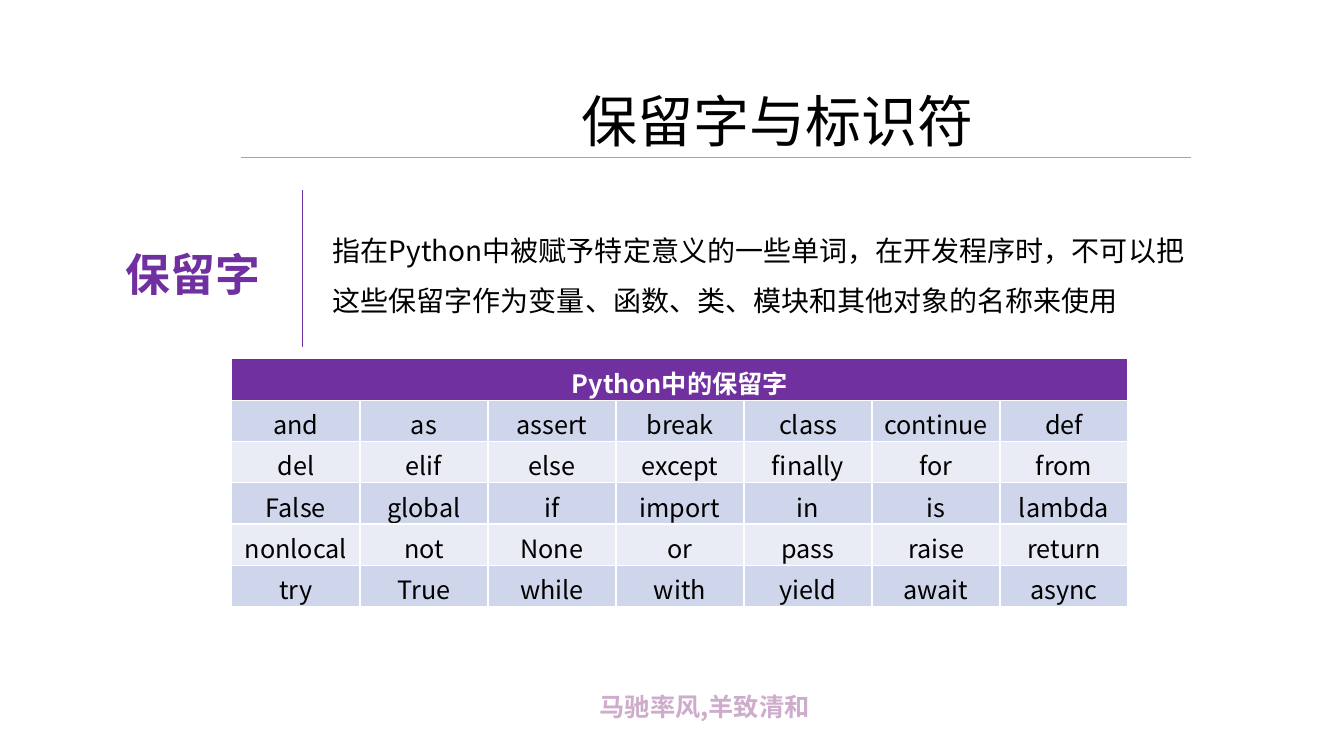
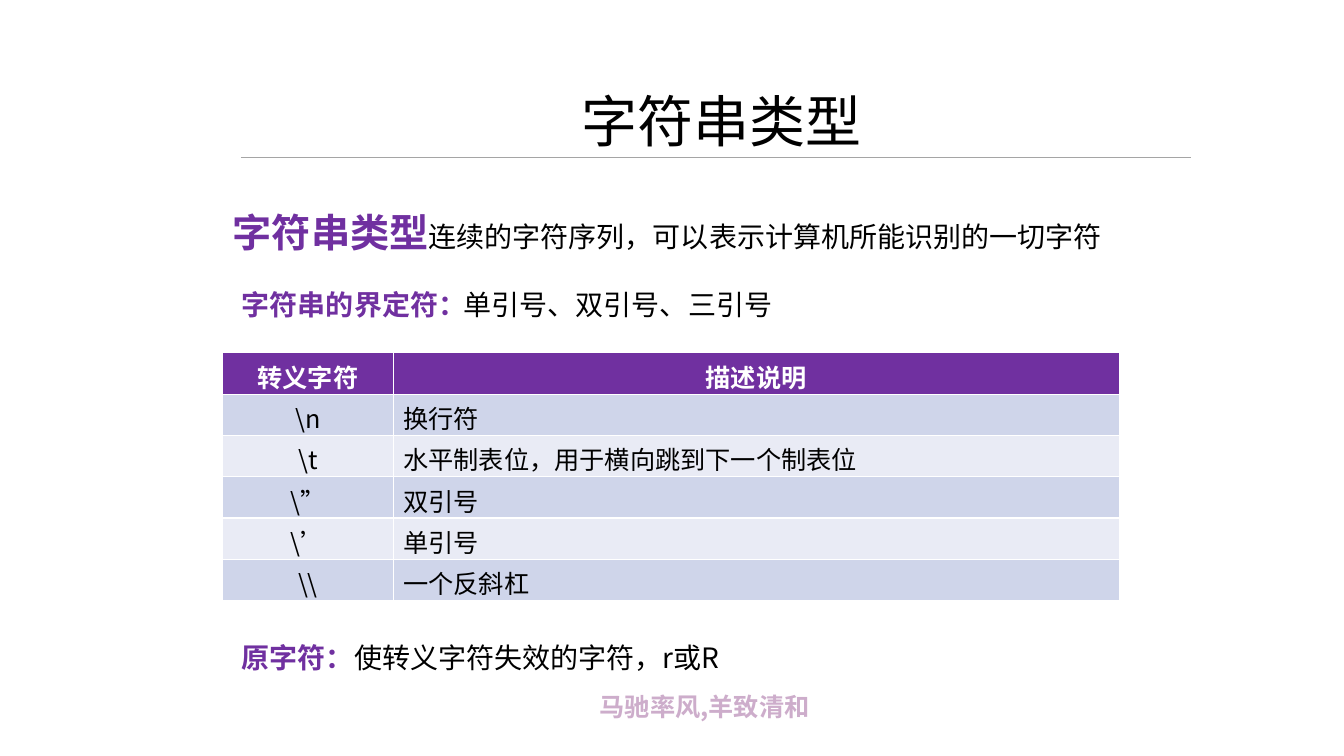
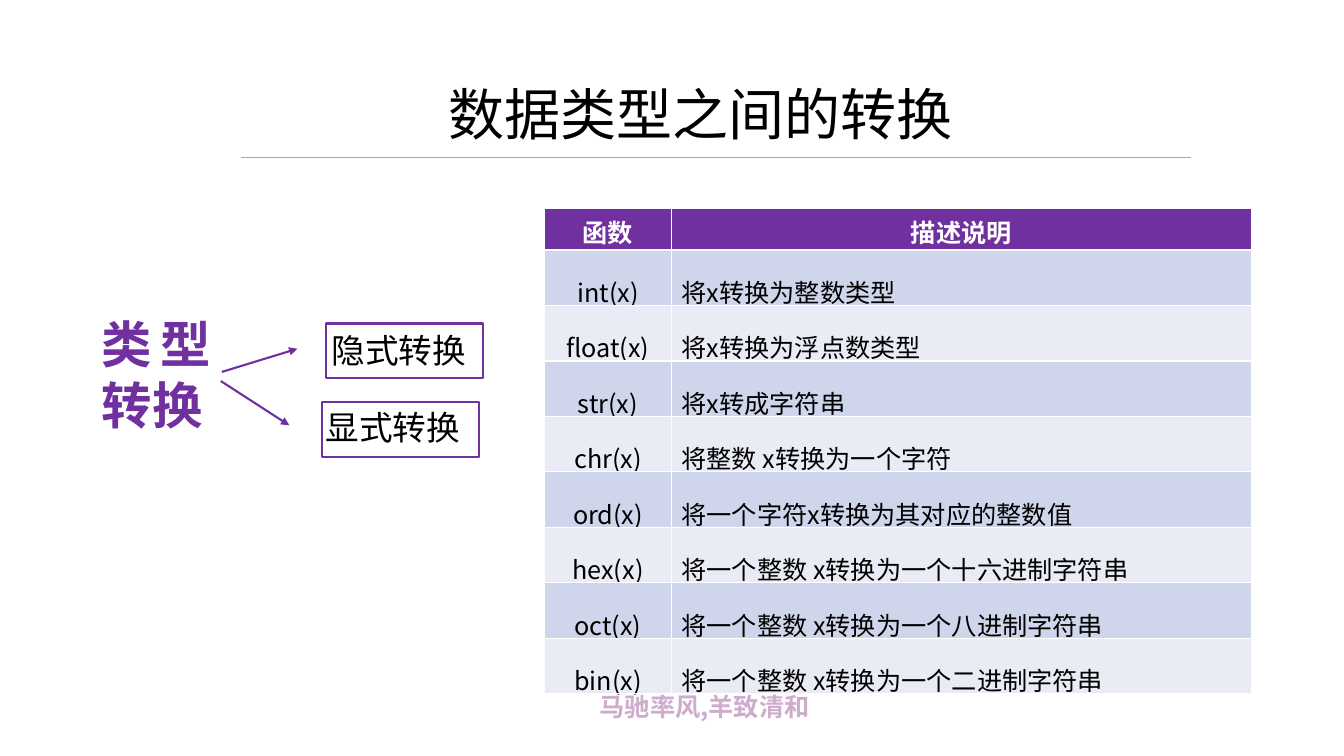
from lxml import etree
from pptx import Presentation
from pptx.dml.color import RGBColor
from pptx.enum.shapes import MSO_CONNECTOR, MSO_SHAPE
from pptx.enum.text import MSO_AUTO_SIZE, PP_ALIGN
from pptx.oxml.ns import qn
from pptx.util import Inches, Pt

FONT = "Noto Sans CJK SC"
PURPLE = RGBColor(0x70, 0x30, 0xA0)
LILAC = RGBColor(0xCD, 0xAD, 0xCB)
GRAY = RGBColor(0xA5, 0xA5, 0xA5)
BLACK = RGBColor(0, 0, 0)
WHITE = RGBColor(0xFF, 0xFF, 0xFF)
BANDS = (RGBColor(0xCF, 0xD5, 0xEA), RGBColor(0xE9, 0xEB, 0xF5))
ROW_HEIGHT = 0.41

TITLE = {"size": Pt(40)}
BODY = {"size": Pt(20)}
LABEL = {"size": Pt(20), "color": PURPLE, "bold": True}
CELL = {"size": Pt(18)}
HEADER = {"size": Pt(18), "color": WHITE, "bold": True}
FOOTER = {"size": Pt(18), "color": LILAC, "bold": True}

KEYWORDS = [
    "and as assert break class continue def",
    "del elif else except finally for from",
    "False global if import in is lambda",
    "nonlocal not None or pass raise return",
    "try True while with yield await async",
]
ESCAPES = [
    ("转义字符", "描述说明"),
    ("\\n", "换行符"),
    ("\\t", "水平制表位，用于横向跳到下一个制表位"),
    ("\\”", "双引号"),
    ("\\’", "单引号"),
    ("\\\\", "一个反斜杠"),
]
CONVERSIONS = [
    ("函数", "描述说明"),
    ("int(x)", "将x转换为整数类型"),
    ("float(x)", "将x转换为浮点数类型"),
    ("str(x)", "将x转成字符串"),
    ("chr(x)", "将整数 x转换为一个字符"),
    ("ord(x)", "将一个字符x转换为其对应的整数值"),
    ("hex(x)", "将一个整数 x转换为一个十六进制字符串"),
    ("oct(x)", "将一个整数 x转换为一个八进制字符串"),
    ("bin(x)", "将一个整数 x转换为一个二进制字符串"),
]


def add_run(paragraph, text, style):
    """Append a run in the deck font with the given format values."""
    run = paragraph.add_run()
    run.text = text
    values = {"name": FONT, "bold": False, "color": BLACK, **style}
    run.font.color.rgb = values.pop("color")
    for name, value in values.items():
        setattr(run.font, name, value)
    etree.SubElement(run.font._element, qn("a:ea"), typeface=FONT)


def add_text(slide, box, *runs, wrap=True, **paragraph_format):
    """Place one paragraph of (text, style) runs in a text box."""
    frame = slide.shapes.add_textbox(*map(Inches, box)).text_frame
    frame.word_wrap = wrap
    frame.auto_size = MSO_AUTO_SIZE.SHAPE_TO_FIT_TEXT
    paragraph = frame.paragraphs[0]
    for name, value in paragraph_format.items():
        setattr(paragraph, name, value)
    for text, style in runs:
        add_run(paragraph, text, style)


def add_line(slide, start, end, color, width, arrow=False):
    """Draw a straight line, optionally with an arrowhead at its end."""
    line = slide.shapes.add_connector(
        MSO_CONNECTOR.STRAIGHT, *map(Inches, (*start, *end)))
    line.line.color.rgb = color
    line.line.width = Pt(width)
    if arrow:
        etree.SubElement(line.line._get_or_add_ln(), qn("a:tailEnd"), type="triangle")
    etree.SubElement(line._element.spPr, qn("a:effectLst"))


def add_banded_table(slide, left, top, widths, rows, centered, line_spacing=None):
    """Build a table with a purple header, banded rows and some centered columns."""
    height = ROW_HEIGHT * len(rows)
    table = slide.shapes.add_table(
        len(rows), len(widths),
        *map(Inches, (left, top, sum(widths), height))).table
    for column, width in zip(table.columns, widths):
        column.width = Inches(width)
    for row_index, row in enumerate(rows):
        is_header = row_index == 0
        for column_index, text in enumerate(row):
            cell = table.cell(row_index, column_index)
            cell.fill.solid()
            cell.fill.fore_color.rgb = PURPLE if is_header else BANDS[(row_index - 1) % 2]
            paragraph = cell.text_frame.paragraphs[0]
            if is_header or column_index in centered:
                paragraph.alignment = PP_ALIGN.CENTER
            if not is_header:
                paragraph.line_spacing = line_spacing
            if text:
                add_run(paragraph, text, HEADER if is_header else CELL)
    return table


def add_framed_label(slide, text_box, frame_box, text):
    """Place a label with a purple outlined rectangle over it."""
    add_text(slide, text_box, (text, {"size": Pt(24)}))
    frame = slide.shapes.add_shape(MSO_SHAPE.RECTANGLE, *map(Inches, frame_box))
    frame.shadow.inherit = False
    frame.fill.background()
    frame.line.color.rgb = PURPLE
    frame.line.width = Pt(1.5)


def add_base_slide(presentation, title, title_box):
    """Start a slide with the shared footer, rule and title."""
    slide = presentation.slides.add_slide(presentation.slide_layouts[6])
    add_text(slide, (5.85, 6.81, 2.84, 0.4), ("马驰率风,羊致清和", FOOTER))
    add_line(slide, (2.39, 1.56), (11.81, 1.56), GRAY, 0.5)
    add_text(slide, title_box, (title, TITLE), wrap=False)
    return slide


def build_keywords(presentation):
    """Build the slide on reserved words."""
    slide = add_base_slide(presentation, "保留字与标识符", (5.67, 0.81, 4.13, 0.77))
    add_text(slide, (1.15, 2.13, 2.05, 0.81),
             ("保留字", {**LABEL, "size": Pt(32)}), line_spacing=1.5)
    add_text(slide, (3.2, 2.1, 8.71, 1.06),
             ("指在Python中被赋予特定意义的一些单词，在开发程序时，不可以"
              "把这些保留字作为变量、函数、类、模块和其他对象的名称来使用", BODY),
             line_spacing=1.5)
    add_line(slide, (3, 1.89), (3, 3.44), PURPLE, 1)
    rows = [["Python中的保留字"] + [""] * 6] + [line.split() for line in KEYWORDS]
    table = add_banded_table(slide, 2.3, 3.56, [1.27] * 7, rows, range(7))
    table.cell(0, 0).merge(table.cell(0, 6))


def build_strings(presentation):
    """Build the slide on the string type."""
    slide = add_base_slide(presentation, "字符串类型", (5.67, 0.81, 3.01, 0.77))
    add_text(slide, (2.21, 1.78, 10.45, 0.72),
             ("字符串类型", {**LABEL, "size": Pt(28)}),
             ("连续的字符序列，可以表示计算机所能识别的一切字符", BODY), line_spacing=1.5)
    add_text(slide, (2.3, 2.64, 3.49, 0.55), ("字符串的界定符：", LABEL), line_spacing=1.5)
    add_text(slide, (4.5, 2.64, 5.02, 0.55), ("单引号、双引号、三引号", BODY), line_spacing=1.5)
    add_banded_table(slide, 2.21, 3.5, [1.69, 7.2], ESCAPES, {0})
    add_text(slide, (2.3, 6.14, 8.8, 0.55), ("原字符：", LABEL),
             ("使转义字符失效的字符，r或R", BODY), line_spacing=1.5)


def build_conversions(presentation):
    """Build the slide on type conversion."""
    slide = add_base_slide(presentation, "数据类型之间的转换", (4.35, 0.74, 5.25, 0.77))
    add_text(slide, (0.91, 3.06, 1.28, 1.31),
             ("类型转换", {**LABEL, "size": Pt(36)}), alignment=PP_ALIGN.JUSTIFY)
    add_line(slide, (2.2, 3.69), (2.95, 3.46), PURPLE, 1.5, arrow=True)
    add_line(slide, (2.19, 3.78), (2.87, 4.22), PURPLE, 1.5, arrow=True)
    add_framed_label(slide, (3.19, 3.22, 1.77, 0.5), (3.23, 3.21, 1.56, 0.54), "隐式转换")
    add_framed_label(slide, (3.13, 3.99, 1.77, 0.5), (3.19, 3.99, 1.56, 0.54), "显式转换")
    add_banded_table(slide, 5.4, 2.07, [1.26, 5.75], CONVERSIONS, {0}, line_spacing=1.5)


def main():
    """Build and save the presentation."""
    presentation = Presentation()
    presentation.slide_width = Inches(13.33)
    presentation.slide_height = Inches(7.5)
    for build in (build_keywords, build_strings, build_conversions):
        build(presentation)
    presentation.save("out.pptx")


if __name__ == "__main__":
    main()
